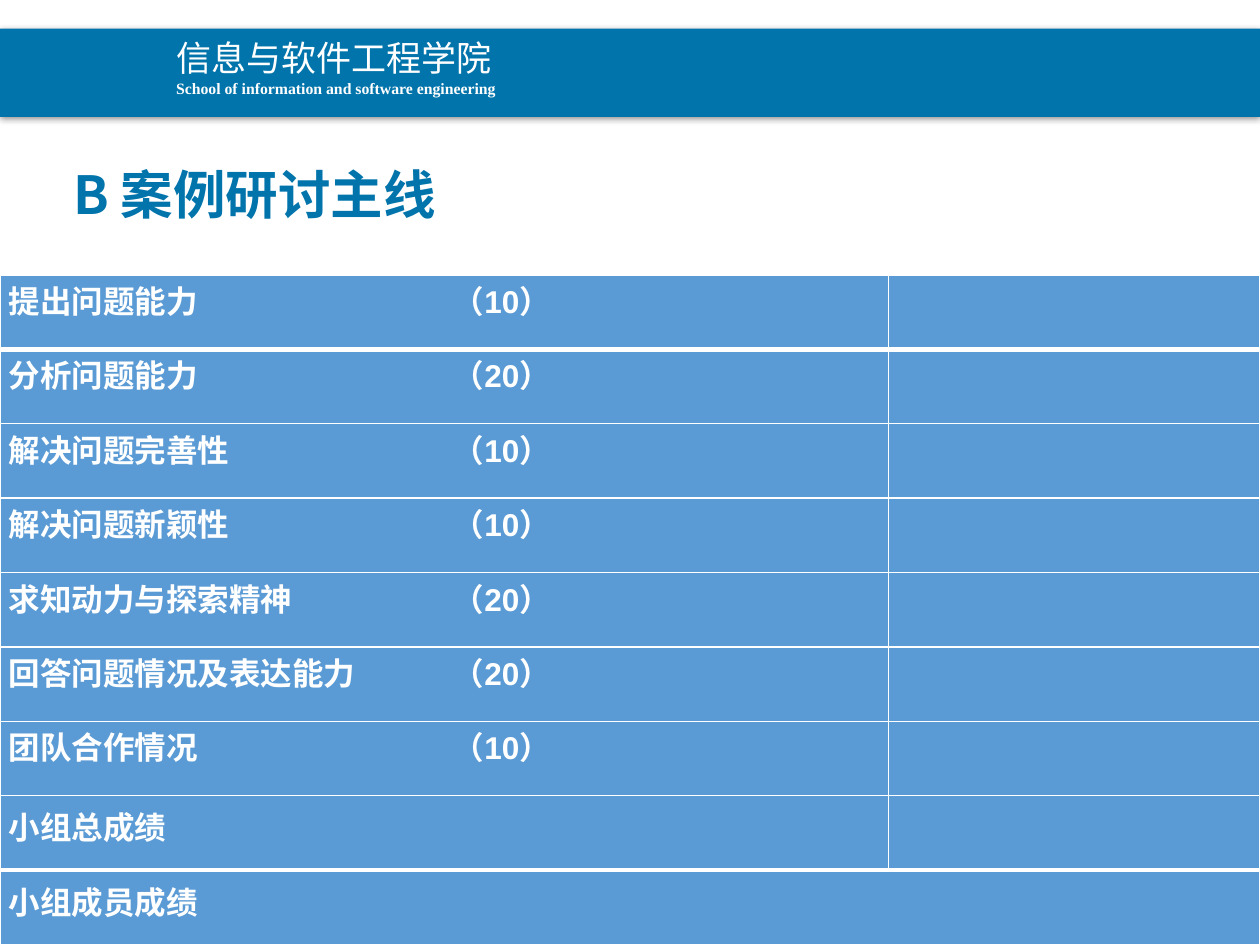
from lxml.etree import SubElement
from pptx import Presentation
from pptx.dml.color import RGBColor
from pptx.enum.shapes import MSO_SHAPE as Shape
from pptx.enum.text import MSO_ANCHOR as Anchor, MSO_AUTO_SIZE as AutoSize, PP_ALIGN as Align
from pptx.oxml import parse_xml
from pptx.oxml.ns import nsdecls, qn
from pptx.util import Cm, Pt

BLUE, CELL, WHITE = "0174AB", "5B9BD5", "FFFFFF"
HAN = "Noto Sans CJK SC"
SCHOOL = [
    ("信息与软件工程学院", dict(name=HAN, size=Pt(20))),
    ("School of information and software engineering",
     dict(name="Times New Roman", size=Pt(9), bold=True)),
]
TITLE = "B 案例研讨主线"
CRITERIA = [
    ("提出问题能力", 10),
    ("分析问题能力", 20),
    ("解决问题完善性", 10),
    ("解决问题新颖性", 10),
    ("求知动力与探索精神", 20),
    ("回答问题情况及表达能力", 20),
    ("团队合作情况", 10),
]
TOTALS = ["小组总成绩", "小组成员成绩"]
COLUMNS = [Cm(17.91), Cm(7.49)]
TABLE_TOP, ROW_HEIGHT = Cm(5.54), Cm(1.5)
SCORE_TAB = Cm(8.95)


def rgb(code):
    return RGBColor.from_string(code)


def set_all(target, values):
    for key, value in values.items():
        setattr(target, key, value)


def add_span(para, text, color, **style):
    span = para.add_run()
    span.text = text
    set_all(span.font, style)
    span.font.color.rgb = rgb(color)
    SubElement(span._r.get_or_add_rPr(), qn("a:ea"), typeface=HAN)


def add_banner(page, width):
    band = page.shapes.add_shape(Shape.RECTANGLE, 0, Cm(0.58), width, Cm(1.78))
    band.fill.solid()
    band.fill.fore_color.rgb = rgb(BLUE)
    band.line.fill.background()
    band._element.spPr.append(parse_xml(
        f'<a:effectLst {nsdecls("a")}><a:outerShdw blurRad="{Pt(4)}" dist="{Pt(1)}" '
        'dir="5400000" algn="t" rotWithShape="0"><a:srgbClr val="000000">'
        '<a:alpha val="40000"/></a:srgbClr></a:outerShdw></a:effectLst>'))

    box = page.shapes.add_textbox(Cm(3.3), Cm(0.61), Cm(7.01), Cm(1.5))
    frame = box.text_frame
    set_all(frame, dict(word_wrap=False, auto_size=AutoSize.SHAPE_TO_FIT_TEXT))
    for index, (text, style) in enumerate(SCHOOL):
        para = frame.add_paragraph() if index else frame.paragraphs[0]
        para.alignment = Align.LEFT
        add_span(para, text, WHITE, **style)


def add_title(page):
    title = page.shapes.title
    set_all(title, dict(left=Cm(1.22), top=Cm(2.51), width=Cm(22.86), height=Cm(3.5)))
    frame = title.text_frame
    set_all(frame, dict(word_wrap=True, vertical_anchor=Anchor.TOP, auto_size=AutoSize.NONE))
    para = frame.paragraphs[0]
    set_all(para, dict(alignment=Align.LEFT, line_spacing=1.5))
    add_span(para, TITLE, BLUE, name=HAN, size=Pt(30), bold=True)


def style_cell(cell, top, bottom):
    props = cell._tc.get_or_add_tcPr()
    for side, width in zip("LRTB", (1, 1, top, bottom)):
        line = SubElement(props, qn(f"a:ln{side}"), w=str(Pt(width)))
        SubElement(SubElement(line, qn("a:solidFill")), qn("a:srgbClr"), val=WHITE)
    cell.fill.solid()
    cell.fill.fore_color.rgb = rgb(CELL)


def write_cell(cell, text, spacing):
    set_all(cell, dict(vertical_anchor=Anchor.MIDDLE, margin_left=Cm(0.18),
                       margin_right=Cm(0.18), margin_top=0, margin_bottom=0))
    para = cell.text_frame.paragraphs[0]
    set_all(para, dict(line_spacing=Pt(spacing), space_after=Pt(10)))
    if "\t" in text:
        tabs = SubElement(para._p.get_or_add_pPr(), qn("a:tabLst"))
        SubElement(tabs, qn("a:tab"), pos=str(SCORE_TAB), algn="l")
    add_span(para, text, WHITE, name="Arial", size=Pt(18), bold=True)


def add_scores(page):
    rows = [(f"{name}\t（{points}）", 12) for name, points in CRITERIA]
    rows += [(name, 18) for name in TOTALS]
    last = len(rows) - 1
    table = page.shapes.add_table(len(rows), len(COLUMNS), 0, TABLE_TOP,
                                  sum(COLUMNS), ROW_HEIGHT * len(rows)).table
    for column, width in zip(table.columns, COLUMNS):
        column.width = width
    for index, (text, spacing) in enumerate(rows):
        table.rows[index].height = ROW_HEIGHT
        for cell in table.rows[index].cells:
            style_cell(cell, 3 if index in (1, last) else 1,
                       3 if index in (0, last - 1) else 1)
        write_cell(table.cell(index, 0), text, spacing)
    table.cell(last, 0).merge(table.cell(last, 1))


def main():
    deck = Presentation()
    deck.slide_width, deck.slide_height = Cm(25.4), Cm(19.05)
    page = deck.slides.add_slide(deck.slide_layouts[5])
    add_banner(page, deck.slide_width)
    add_title(page)
    add_scores(page)
    deck.save("out.pptx")


if __name__ == "__main__":
    main()
